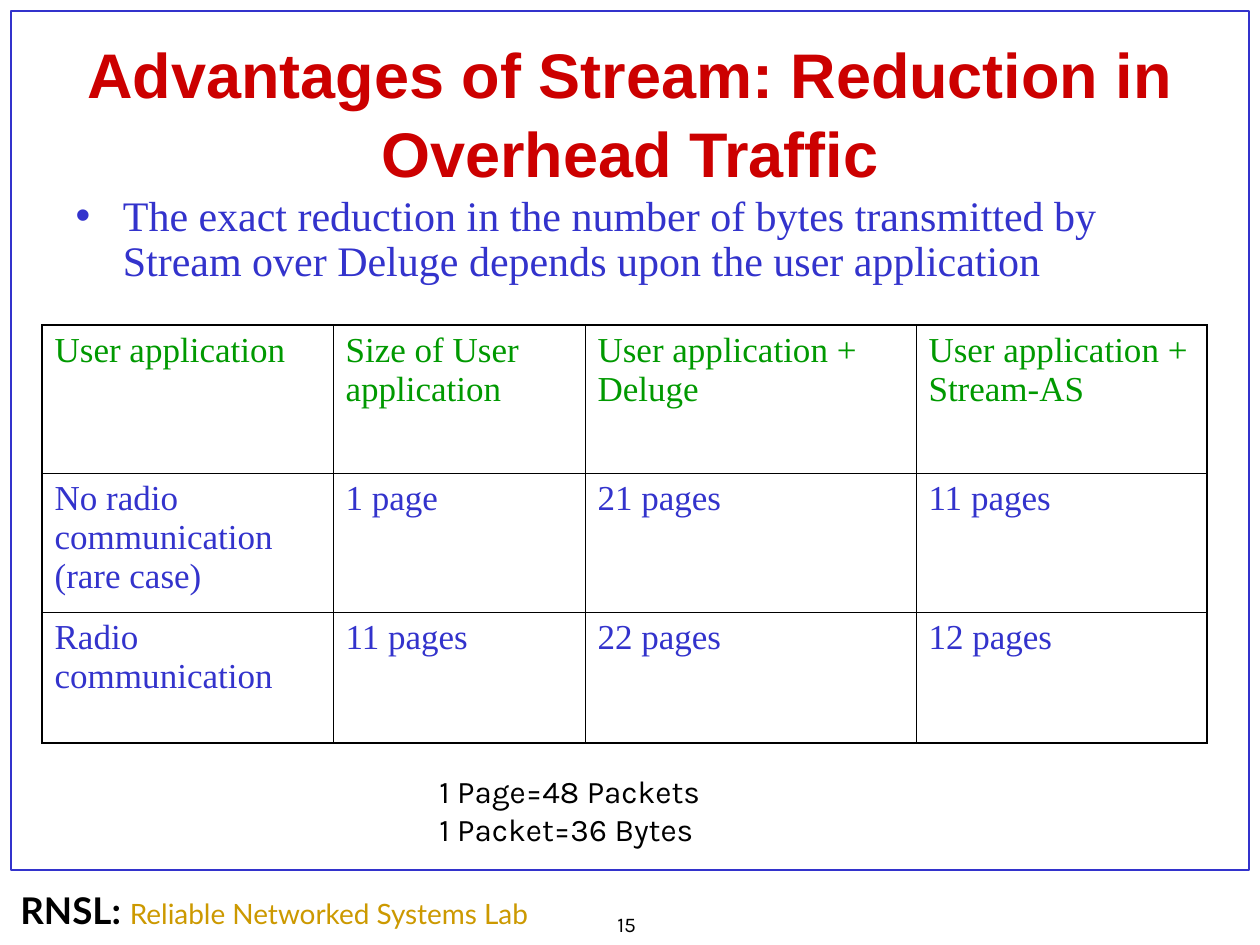
from dataclasses import dataclass

from lxml import etree
from pptx import Presentation
from pptx.dml.color import RGBColor
from pptx.enum.shapes import MSO_SHAPE
from pptx.enum.text import MSO_ANCHOR, MSO_AUTO_SIZE, PP_ALIGN
from pptx.oxml.ns import qn
from pptx.util import Emu, Pt

RECT = MSO_SHAPE.RECTANGLE
LEFT, CENTER = PP_ALIGN.LEFT, PP_ALIGN.CENTER
TOP, MIDDLE = MSO_ANCHOR.TOP, MSO_ANCHOR.MIDDLE
NO_FIT = MSO_AUTO_SIZE.NONE
PX = 914400 // 126


@dataclass(frozen=True)
class Theme:
    red: str = "CC0000"
    blue: str = "3333CC"
    green: str = "009900"
    gold: str = "CC9900"
    black: str = "000000"
    head: str = "Arial"
    serif: str = "Times New Roman"
    sans: str = "Karla"
    brand: str = "Lato"
    title: int = 36
    body: int = 24
    cell: int = 20
    note: int = 18
    lab: int = 21
    motto: int = 16
    page: int = 12
    frame: float = 1.5
    outer: float = 1.08
    inner: float = 0.45


T = Theme()

TITLE = "Advantages of Stream: Reduction in Overhead Traffic"
POINT = ("The exact reduction in the number of bytes transmitted by "
         "Stream over Deluge depends upon the user application")
TABLE = [
    ["User application", "Size of User application",
     "User application + Deluge", "User application + Stream-AS"],
    ["No radio communication (rare case)", "1 page", "21 pages", "11 pages"],
    ["Radio communication", "11 pages", "22 pages", "12 pages"],
]
NOTES = ["1 Page=48 Packets", "1 Packet=36 Bytes"]
LAB, MOTTO = "RNSL: ", "Reliable Networked Systems Lab"
PAGE = "15"

COLS = [291, 252, 331, 291]
ROWS = [148, 139, 131]
BOX = {
    "frame": (11, 11, 1238, 859),
    "title": (63, 53, 1134, 116),
    "body": (63, 189, 1134, 189),
    "table": (42, 325, sum(COLS), sum(ROWS)),
    "notes": (427, 766, 300, 88),
    "lab": (8, 890, 616, 76),
    "page": (605, 905, 129, 42),
}


def place(name):
    return [Emu(v * PX) for v in BOX[name]]


def move(shape, name):
    shape.left, shape.top, shape.width, shape.height = place(name)


def write(par, text, size, font, color, bold=False, align=LEFT,
          line=None, before=None):
    """Add one formatted run to a paragraph."""
    run = par.add_run()
    run.text = text
    run.font.size, run.font.name, run.font.bold = Pt(size), font, bold
    run.font.color.rgb = RGBColor.from_string(color)
    par.alignment = align
    if line:
        par.line_spacing = line
    if before is not None:
        par.space_before = Pt(before)


def add_box(slide, name):
    frame = slide.shapes.add_textbox(*place(name)).text_frame
    frame.word_wrap = True
    return frame


def edge(cell, side, width):
    """Draw one cell border; side is L, R, T or B."""
    line = etree.SubElement(cell._tc.get_or_add_tcPr(), qn(f"a:ln{side}"),
                            w=str(Pt(width)))
    fill = etree.SubElement(line, qn("a:solidFill"))
    etree.SubElement(fill, qn("a:srgbClr"), val=T.black)


def add_table(slide):
    last_row, last_col = len(ROWS) - 1, len(COLS) - 1
    table = slide.shapes.add_table(len(ROWS), len(COLS), *place("table")).table
    table.first_row = table.horz_banding = False
    for col, width in zip(table.columns, COLS):
        col.width = Emu(width * PX)
    for r, (row, height) in enumerate(zip(TABLE, ROWS)):
        table.rows[r].height = Emu(height * PX)
        for c, text in enumerate(row):
            cell = table.cell(r, c)
            write(cell.text_frame.paragraphs[0], text, T.cell, T.serif,
                  T.blue if r else T.green, before=5)
            rims = {"L": c == 0, "R": c == last_col,
                    "T": r == 0, "B": r == last_row}
            for side, rim in rims.items():
                edge(cell, side, T.outer if rim else T.inner)
            cell.fill.background()


def main():
    deck = Presentation()
    deck.slide_width, deck.slide_height = Emu(1260 * PX), Emu(945 * PX)
    slide = deck.slides.add_slide(deck.slide_layouts[1])

    frame = slide.shapes.add_shape(RECT, *place("frame"))
    frame.shadow.inherit = False
    frame.fill.background()
    frame.line.color.rgb = RGBColor.from_string(T.blue)
    frame.line.width = Pt(T.frame)

    lab = add_box(slide, "lab").paragraphs[0]
    write(lab, LAB, T.lab, T.brand, T.black, bold=True, line=0.8)
    write(lab, MOTTO, T.motto, T.brand, T.gold, line=0.8)
    write(add_box(slide, "page").paragraphs[0], PAGE, T.page, T.sans, T.black)

    title, body = slide.shapes.title, slide.placeholders[1]
    for shape, name, anchor in ((title, "title", MIDDLE), (body, "body", TOP)):
        move(shape, name)
        shape.text_frame.auto_size = NO_FIT
        shape.text_frame.vertical_anchor = anchor
    write(title.text_frame.paragraphs[0], TITLE, T.title, T.head, T.red,
          bold=True, align=CENTER, line=1.05)
    write(body.text_frame.paragraphs[0], POINT, T.body, T.serif, T.blue,
          line=0.9, before=6)

    add_table(slide)

    notes = add_box(slide, "notes")
    for i, text in enumerate(NOTES):
        par = notes.add_paragraph() if i else notes.paragraphs[0]
        write(par, text, T.note, T.sans, T.black)

    deck.save("out.pptx")


if __name__ == "__main__":
    main()
